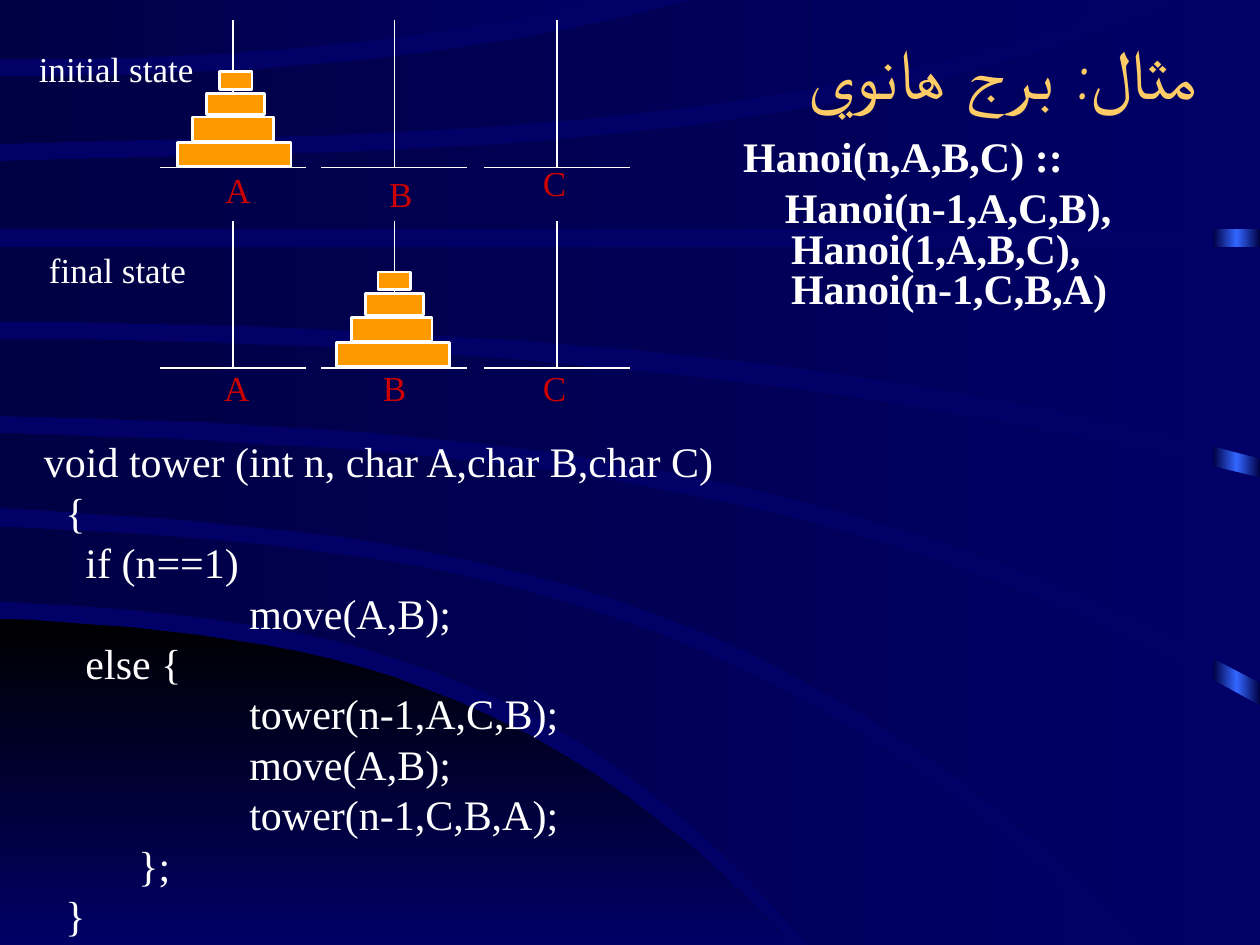
import copy
import math
from dataclasses import dataclass

import lxml.etree
import pptx
import pptx.dml.color
import pptx.enum.shapes
import pptx.enum.text
import pptx.oxml.ns
import pptx.util

PX = 9144  # EMU per px, 100 px to the inch
SERIF = "Times New Roman"
WHITE, RED, ORANGE, GOLD = "FFFFFF", "CC0000", "FF9900", "FFCC66"
NAVY, DARK, BLACK, BLUE = "000066", "000044", "000000", "3366FF"
WIDTH, HEIGHT = 1000, 750
CURVE_STEPS = 24


@dataclass
class Curve:
    """A smooth edge from x = 0 to right, through evenly spaced heights."""
    right: int
    heights: tuple[int, ...]

    def height_at(self, position: float) -> float:
        last = len(self.heights) - 1
        return sum(height * math.prod((position * last - other) / (knot - other)
                                      for other in range(last + 1) if other != knot)
                   for knot, height in enumerate(self.heights))

    def points(self) -> list[tuple[float, float]]:
        steps = [step / CURVE_STEPS for step in range(CURVE_STEPS + 1)]
        return [(self.right * step, self.height_at(step)) for step in steps]


@dataclass
class Band:
    upper: Curve
    lower: Curve
    colors: tuple[str, str] = (NAVY, DARK)
    angle: int = 180


@dataclass
class Disk:
    left: int
    rise: int
    width: int
    height: int


@dataclass
class Label:
    text: str
    left: int
    top: int
    width: int
    color: str = RED


@dataclass
class Line:
    text: str
    margin: int = 0
    indent: int = 0


BANDS = [
    Band(Curve(628, (491, 512, 583, 750)), Curve(628, (750, 750)), (BLACK, NAVY), 270),
    Band(Curve(893, (418, 444, 534, 750)), Curve(642, (477, 498, 571, 750))),
    Band(Curve(WIDTH, (344, 362, 421, 560)), Curve(909, (403, 431, 524, 750))),
    Band(Curve(WIDTH, (269, 280, 314, 379)), Curve(WIDTH, (330, 347, 406, 542))),
    Band(Curve(WIDTH, (196, 196)), Curve(WIDTH, (255, 265, 297, 364))),
    Band(Curve(940, (128, 119, 88, 0)), Curve(WIDTH, (182, 182))),
    Band(Curve(548, (61, 56, 38, 0)), Curve(913, (114, 105, 76, 0))),
    Band(Curve(491, (0, 0)), Curve(491, (47, 43, 28, 0))),
]

PEGS = (185, 313, 442)
INITIAL_BASE, FINAL_BASE = 133, 292
DISKS = [Disk(0, 20, 90, 19), Disk(12, 40, 64, 19), Disk(23, 59, 46, 17), Disk(33, 76, 26, 14)]
LABELS = [
    Label("A", 169, 129, 40), Label("B", 299, 132, 38), Label("C", 421, 123, 38),
    Label("A", 168, 286, 40), Label("B", 294, 286, 38), Label("C", 421, 286, 38),
    Label("initial state", 21, 33, 143, WHITE), Label("final state", 29, 192, 129, WHITE),
]
RULES = [
    Line("Hanoi(n,A,B,C) ::", 38, -38),
    Line("Hanoi(n-1,A,C,B),\vHanoi(1,A,B,C),\vHanoi(n-1,C,B,A)", 38, -5),
]
CALL = 163
CODE = [
    Line("void tower (int n, char A,char B,char C)"), Line("{", 17), Line("if (n==1)", 33),
    Line("move(A,B);", CALL), Line("else {", 33), Line("tower(n-1,A,C,B);", CALL),
    Line("move(A,B);", CALL), Line("tower(n-1,C,B,A);", CALL), Line("};", 75), Line("}", 17),
]


def color(value: str) -> pptx.dml.color.RGBColor:
    return pptx.dml.color.RGBColor.from_string(value)


def paint_gradient(shape, colors: tuple[str, ...], angle: int) -> None:
    shape.shadow.inherit = False
    shape.line.fill.background()
    shape.fill.gradient()
    shape.fill.gradient_angle = angle
    stop_list = shape._element.spPr.find(".//" + pptx.oxml.ns.qn("a:gsLst"))
    while len(stop_list) < len(colors):
        stop_list.append(copy.deepcopy(stop_list[0]))
    for index, (stop, value) in enumerate(zip(shape.fill.gradient_stops, colors)):
        stop.position = index / (len(colors) - 1)
        stop.color.rgb = color(value)


def add_rectangle(page, left: int, top: int, width: int, height: int):
    return page.shapes.add_shape(pptx.enum.shapes.MSO_SHAPE.RECTANGLE,
                                 left * PX, top * PX, width * PX, height * PX)


def draw_band(page, band: Band) -> None:
    upper, lower = band.upper.points(), band.lower.points()
    # An edge that leaves the page early meets the other at a page corner
    corner = (max(band.upper.right, band.lower.right),
              HEIGHT if band.lower.heights[-1] == HEIGHT else band.upper.heights[-1])
    points = upper + [corner] + lower[::-1]
    builder = page.shapes.build_freeform(*points[0], scale=PX)
    builder.add_line_segments(points[1:], close=True)
    paint_gradient(builder.convert_to_shape(), band.colors, band.angle)


def draw_line(page, x1: int, y1: int, x2: int, y2: int) -> None:
    line = page.shapes.add_connector(pptx.enum.shapes.MSO_CONNECTOR.STRAIGHT,
                                     x1 * PX, y1 * PX, x2 * PX, y2 * PX)
    line.line.color.rgb = color(WHITE)
    line.line.width = pptx.util.Pt(0.75)
    lxml.etree.SubElement(line._element.spPr, pptx.oxml.ns.qn("a:effectLst"))


def draw_peg(page, x: int, base: int) -> None:
    draw_line(page, x, base - 117, x, base)
    draw_line(page, x - 58, base, x + 58, base)


def draw_tower(page, left: int, base: int) -> None:
    for disk in DISKS:
        box = add_rectangle(page, left + disk.left, base - disk.rise, disk.width, disk.height)
        box.shadow.inherit = False
        box.fill.solid()
        box.fill.fore_color.rgb = color(ORANGE)
        box.line.color.rgb = color(WHITE)
        box.line.width = pptx.util.Pt(1.5)


def draw_text(page, lines: list[Line], left: int, top: int, width: int, height: int, size: int,
              ink: str = WHITE, font: str = SERIF, bold: bool = False, wrap: bool = True,
              spacing: float = 1.2, before: int = 0):
    box = page.shapes.add_textbox(left * PX, top * PX, width * PX, height * PX)
    frame = box.text_frame
    frame.word_wrap = wrap
    for index, line in enumerate(lines):
        para = frame.add_paragraph() if index else frame.paragraphs[0]
        para.text = line.text
        para.line_spacing = pptx.util.Pt(size * spacing)
        para.space_before = pptx.util.Pt(before)
        properties = para._p.get_or_add_pPr()
        properties.set("marL", str(line.margin * PX))
        properties.set("indent", str(line.indent * PX))
        for span in para.runs:
            span.font.name = font
            span.font.size = pptx.util.Pt(size)
            span.font.bold = bold
            span.font.color.rgb = color(ink)
    return box


def draw_title(page) -> None:
    box = draw_text(page, [Line("مثال: برج هانوي")], 603, 21, 386, 72, 40, GOLD, "Comic Neue")
    box.text_frame.vertical_anchor = pptx.enum.text.MSO_ANCHOR.MIDDLE
    para = box.text_frame.paragraphs[0]
    para.line_spacing = 1.0
    para.alignment = pptx.enum.text.PP_ALIGN.CENTER
    para._p.get_or_add_pPr().set("rtl", "1")
    script_font = lxml.etree.SubElement(para.runs[0]._r.get_or_add_rPr(), pptx.oxml.ns.qn("a:cs"))
    script_font.set("typeface", "Comic Neue")


def main() -> None:
    deck = pptx.Presentation()
    deck.slide_width, deck.slide_height = WIDTH * PX, HEIGHT * PX
    page = deck.slides.add_slide(deck.slide_layouts[6])

    # Background: side strip under the curved bands
    page.background.fill.solid()
    page.background.fill.fore_color.rgb = color(NAVY)
    paint_gradient(add_rectangle(page, 963, 0, 37, HEIGHT), (DARK, BLUE, DARK), 180)
    for band in BANDS:
        draw_band(page, band)

    # Title and recursive rule
    draw_title(page)
    draw_text(page, RULES, 580, 107, 408, 158, 24, bold=True, spacing=0.96, before=6)

    # Pegs, towers and their labels
    for base in (INITIAL_BASE, FINAL_BASE):
        for x in PEGS:
            draw_peg(page, x, base)
    draw_tower(page, 141, INITIAL_BASE)
    draw_tower(page, 267, FINAL_BASE)
    for label in LABELS:
        draw_text(page, [Line(label.text)], label.left, label.top, label.width, 44, 20,
                  label.color, wrap=False)

    # Program listing
    draw_text(page, CODE, 25, 341, 558, 409, 24)
    deck.save("out.pptx")


if __name__ == "__main__":
    main()
